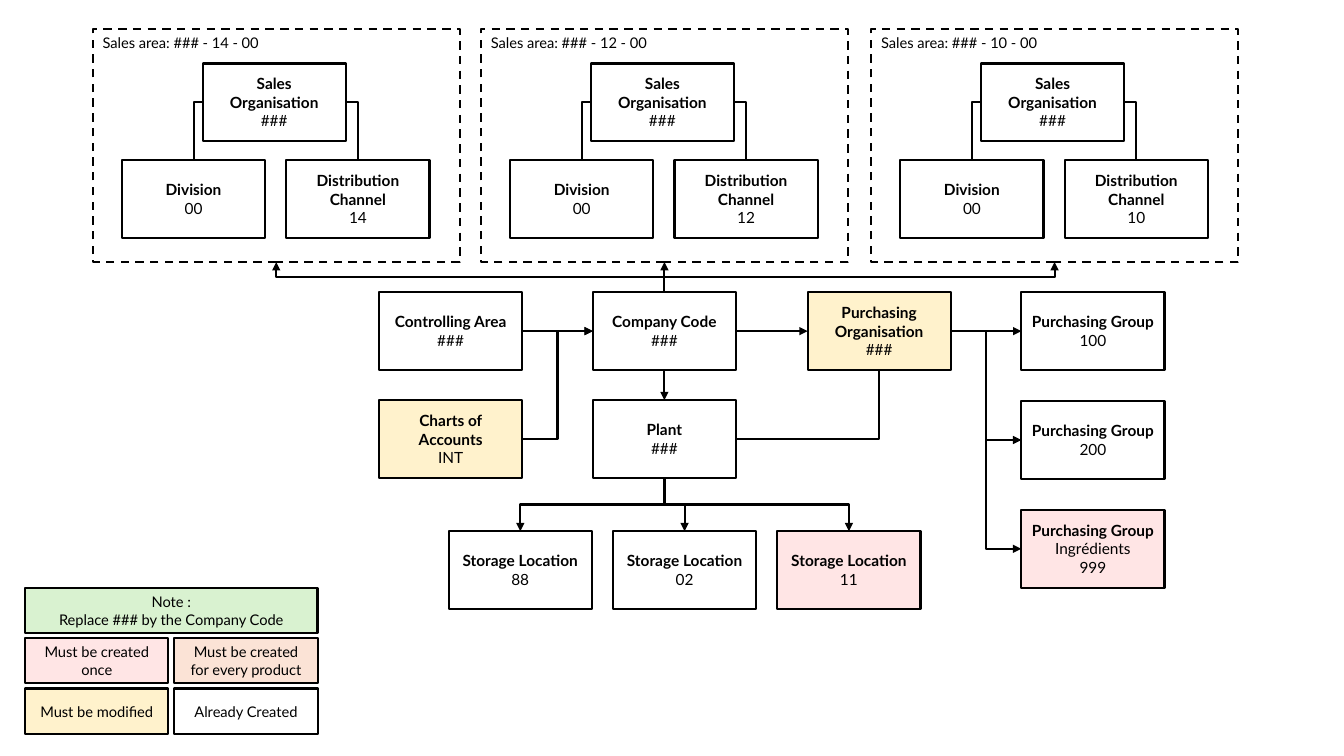
from lxml import etree
from pptx import Presentation
from pptx import util as u
from pptx.dml.color import RGBColor
from pptx.enum import dml, shapes, text
from pptx.oxml import ns

COLOURS = {
    "ink": "000000",
    "existing": "FFFFFF",
    "modify": "FFF2CC",
    "create": "FFE5E5",
    "per_product": "FBE3D6",
    "note": "D9F2D0",
}
UNIT_W, UNIT_H = 1.42, 0.77
AREA_W, AREA_H = 3.64, 2.31
TOP, LEFT, BOTTOM, RIGHT = range(4)

LABEL = {"size": u.Pt(10.5), "name": "Lato", "bold": False}
TITLE = {"size": u.Pt(11), "name": "Lato", "bold": True}
CODE = {**TITLE, "bold": False}
FRAME = {
    "word_wrap": True,
    "margin_left": u.Inches(0.09),
    "margin_right": u.Inches(0.09),
    "vertical_anchor": text.MSO_ANCHOR.MIDDLE,
}


def colour(name):
    return RGBColor.from_string(COLOURS[name])


def apply(target, values):
    for key, value in values.items():
        setattr(target, key, value)


def outline(line):
    line.color.rgb = colour("ink")
    line.width = u.Pt(1.5)


def add_box(slide, box, lines, fill=None, align=text.PP_ALIGN.CENTER):
    """Outlined rectangle; lines is a list of (text, font values)."""
    rect = slide.shapes.add_shape(
        shapes.MSO_SHAPE.RECTANGLE, *[u.Inches(v) for v in box])
    rect.shadow.inherit = False
    outline(rect.line)
    if fill:
        rect.fill.solid()
        rect.fill.fore_color.rgb = colour(fill)
    else:
        rect.fill.background()
    apply(rect.text_frame, FRAME)
    paragraph = rect.text_frame.paragraphs[0]
    paragraph.alignment = align
    for index, (words, font) in enumerate(lines):
        if index:
            paragraph.add_line_break()
        run = paragraph.add_run()
        run.text = words
        apply(run.font, font)
        run.font.color.rgb = colour("ink")
    return rect


def add_unit(slide, left, top, title, *codes, fill="existing"):
    lines = [(title, TITLE)] + [(code, CODE) for code in codes]
    return add_box(slide, (left, top, UNIT_W, UNIT_H), lines, fill)


def link(slide, start, start_side, end, end_side, bend=None, arrow=True):
    """Join two boxes; bend is None, or the preset of a bent connector."""
    kind = shapes.MSO_CONNECTOR.ELBOW if bend else shapes.MSO_CONNECTOR.STRAIGHT
    joint = slide.shapes.add_connector(kind, 0, 0, 0, 0)
    joint.begin_connect(start, start_side)
    joint.end_connect(end, end_side)
    outline(joint.line)
    properties = joint._element.spPr
    if bend:
        properties.find(ns.qn("a:prstGeom")).set("prst", bend)
        if start_side in (TOP, BOTTOM):
            turn_upright(joint)
    if arrow:
        etree.SubElement(joint.line._get_or_add_ln(), ns.qn("a:tailEnd"), type="triangle")
    etree.SubElement(properties, ns.qn("a:effectLst"))


def turn_upright(joint):
    """Rotate a bent connector so that it leaves its start vertically."""
    dx, dy = joint.end_x - joint.begin_x, joint.end_y - joint.begin_y
    mid_x, mid_y = joint.begin_x + dx // 2, joint.begin_y + dy // 2
    apply(joint, {
        "left": mid_x - abs(dy) // 2,
        "top": mid_y - abs(dx) // 2,
        "width": abs(dy),
        "height": abs(dx),
    })
    frame = joint._element.spPr.find(ns.qn("a:xfrm"))
    frame.set("rot", "5400000")
    frame.set("flipH", str(int(dy < 0)))
    frame.set("flipV", str(int(dx > 0)))


def add_sales_area(slide, left, top, channel):
    area = add_box(slide, (left, top, AREA_W, AREA_H),
                   [(f"Sales area: ### - {channel} - 00", LABEL)],
                   align=text.PP_ALIGN.LEFT)
    area.line.dash_style = dml.MSO_LINE.DASH
    apply(area.text_frame, {"vertical_anchor": text.MSO_ANCHOR.TOP,
                            "margin_left": u.Inches(0.1)})
    organisation = add_unit(slide, left + 1.09, top + 0.34, "Sales Organisation", "###")
    division = add_unit(slide, left + 0.29, top + 1.3, "Division", "00")
    distribution = add_unit(slide, left + 1.92, top + 1.3, "Distribution Channel", channel)
    for child, side in ((division, LEFT), (distribution, RIGHT)):
        link(slide, child, TOP, organisation, side, "bentConnector2", arrow=False)
    return area


def add_company(slide, left, top, areas):
    """Company code, its neighbours and the plant; returns plant and purchasing."""
    second_row = top + 1.07
    company = add_unit(slide, left + 2.12, top, "Company Code", "###")
    controlling = add_unit(slide, left, top, "Controlling Area", "###")
    accounts = add_unit(slide, left, second_row, "Charts of Accounts", "INT", fill="modify")
    plant = add_unit(slide, left + 2.12, second_row, "Plant", "###")
    purchasing = add_unit(slide, left + 4.25, top, "Purchasing Organisation", "###",
                          fill="modify")

    for area, bend in zip(areas, ("bentConnector3", None, "bentConnector3")):
        link(slide, company, TOP, area, BOTTOM, bend)
    link(slide, controlling, RIGHT, company, LEFT)
    link(slide, accounts, RIGHT, company, LEFT, "bentConnector3")
    link(slide, company, BOTTOM, plant, TOP)
    link(slide, company, RIGHT, purchasing, LEFT)
    link(slide, purchasing, BOTTOM, plant, RIGHT, "bentConnector2", arrow=False)
    return plant, purchasing


def add_storage_locations(slide, left, top, plant):
    locations = (("88", "existing"), ("02", "existing"), ("11", "create"))
    for index, (code, fill) in enumerate(locations):
        location = add_unit(slide, left + 1.63 * index, top, "Storage Location", code,
                            fill=fill)
        link(slide, plant, BOTTOM, location, TOP, "bentConnector3")


def add_purchasing_groups(slide, left, top, purchasing):
    groups = ((["100"], "existing"), (["200"], "existing"),
              (["Ingrédients", "999"], "create"))
    for index, (codes, fill) in enumerate(groups):
        group = add_unit(slide, left, top + 1.08 * index, "Purchasing Group", *codes,
                         fill=fill)
        link(slide, purchasing, RIGHT, group, LEFT, "bentConnector3" if index else None)


def add_legend(slide, left, top):
    height, column, row = 0.45, 1.48, 0.5
    add_box(slide, (left, top, column + UNIT_W, height),
            [("Note :", LABEL), ("Replace ### by the Company Code", LABEL)], "note")
    keys = (("Must be created once", "create"),
            ("Must be created for every product", "per_product"),
            ("Must be modified", "modify"),
            ("Already Created", None))
    for index, (meaning, fill) in enumerate(keys):
        down, across = divmod(index, 2)
        add_box(slide, (left + column * across, top + row * (down + 1), UNIT_W, height),
                [(meaning, LABEL)], fill)


def main():
    deck = Presentation()
    apply(deck, {"slide_width": u.Inches(13.33), "slide_height": u.Inches(7.5)})
    slide = deck.slides.add_slide(deck.slide_layouts[6])

    # Sales areas across the top
    areas = [add_sales_area(slide, left, 0.29, channel)
             for left, channel in ((0.92, "14"), (4.77, "12"), (8.64, "10"))]

    # Company structure, storage and purchasing
    plant, purchasing = add_company(slide, 3.76, 2.9, areas)
    add_storage_locations(slide, 4.45, 5.27, plant)
    add_purchasing_groups(slide, 10.13, 2.9, purchasing)

    # Colour key
    add_legend(slide, 0.25, 5.83)
    deck.save("out.pptx")


if __name__ == "__main__":
    main()
